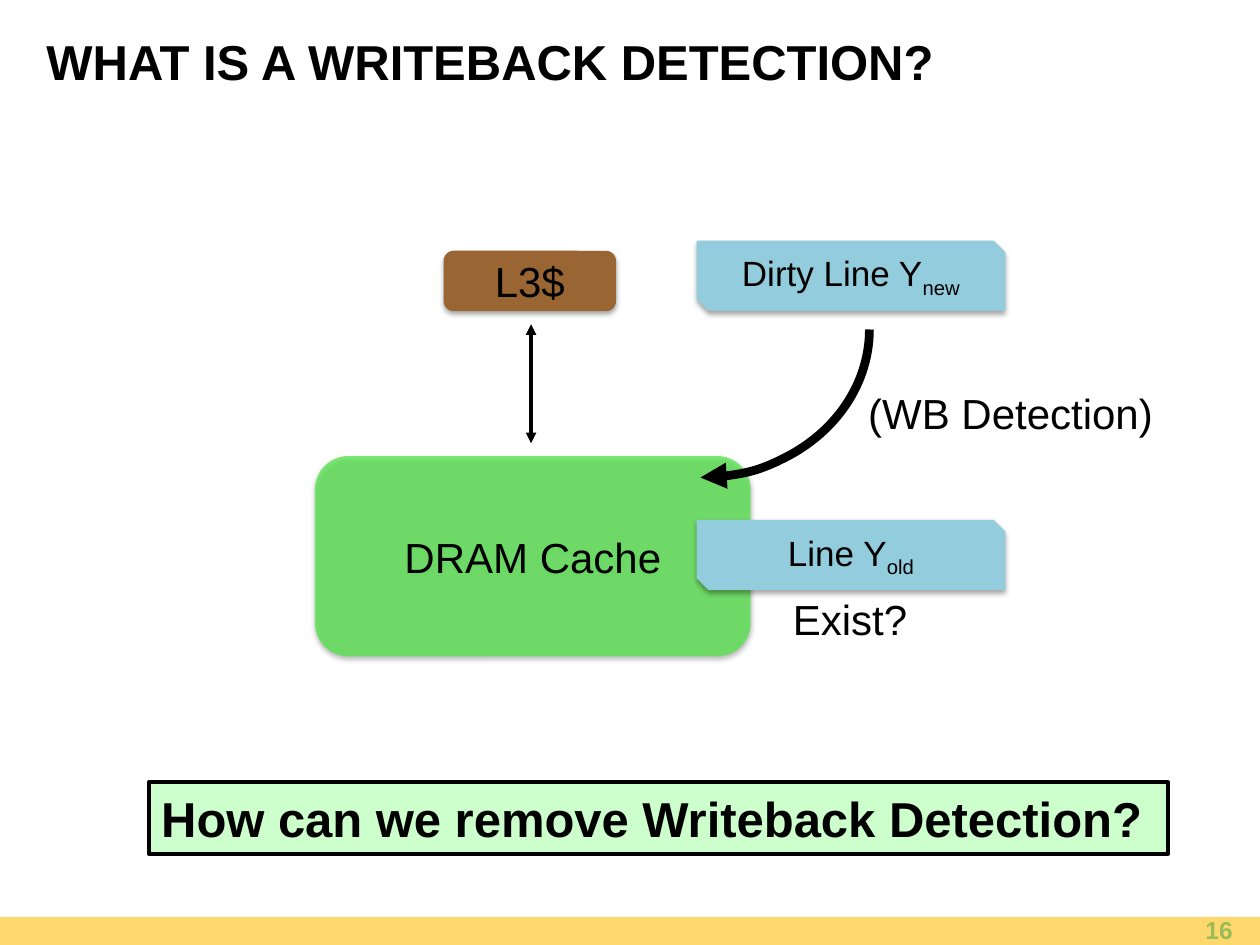
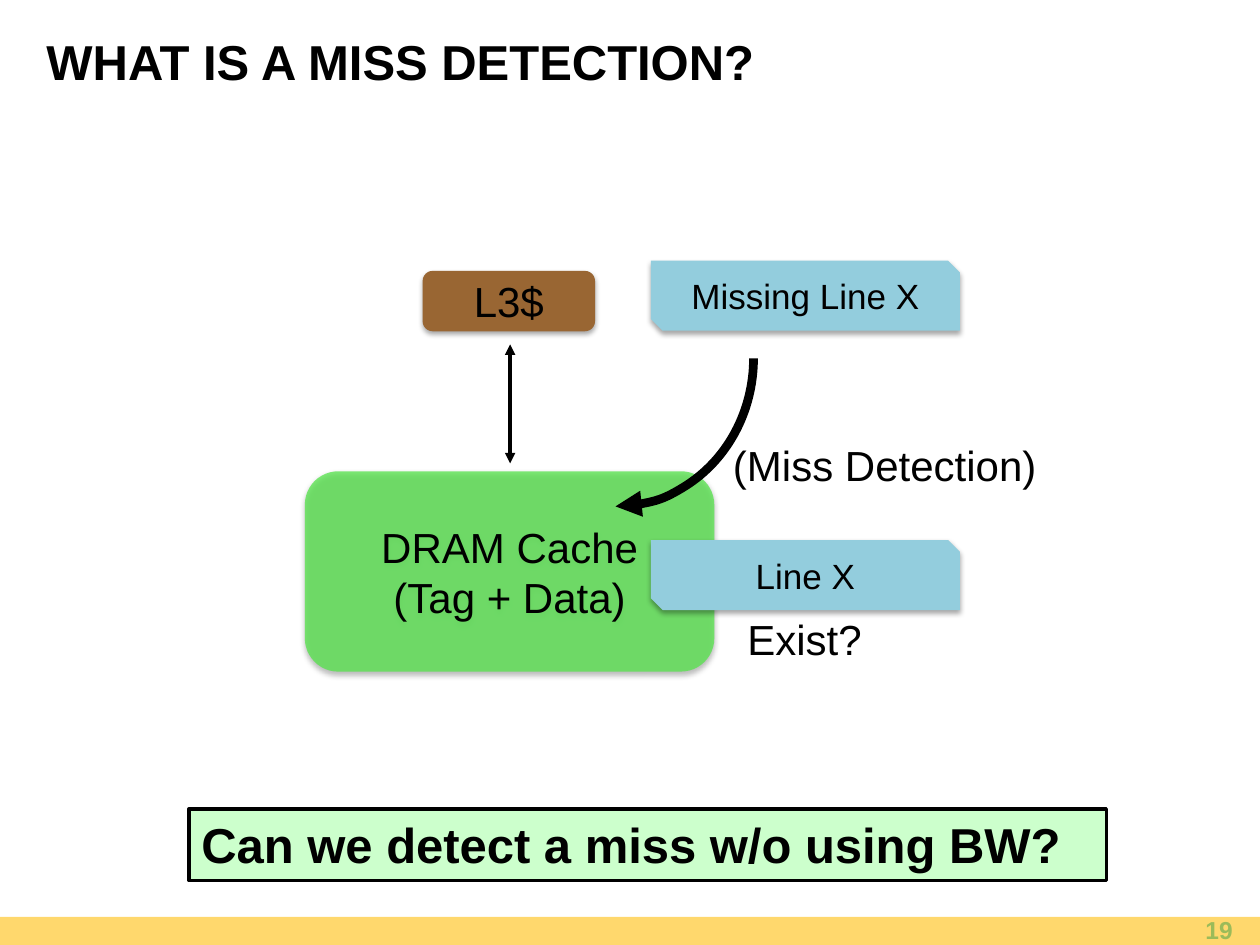
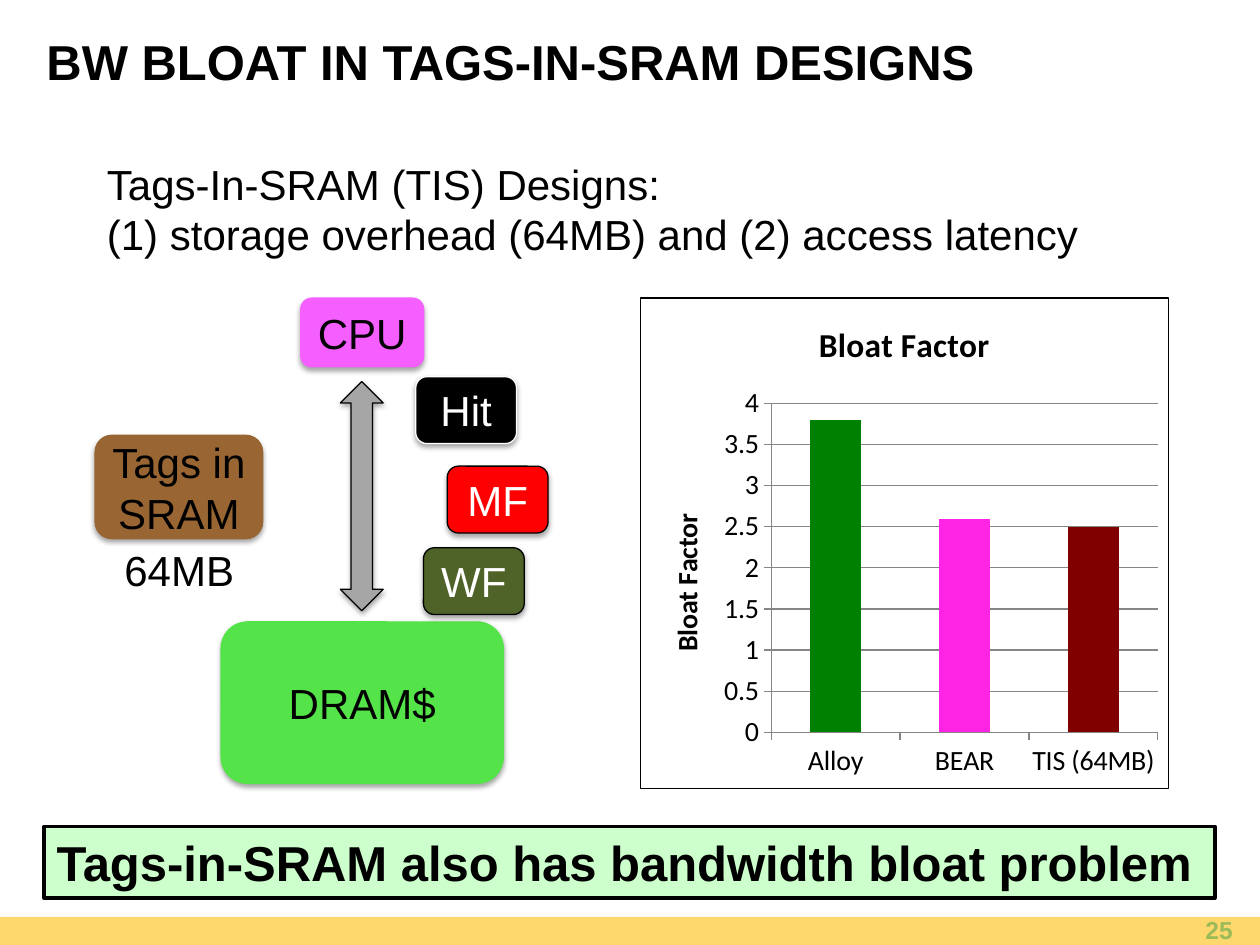
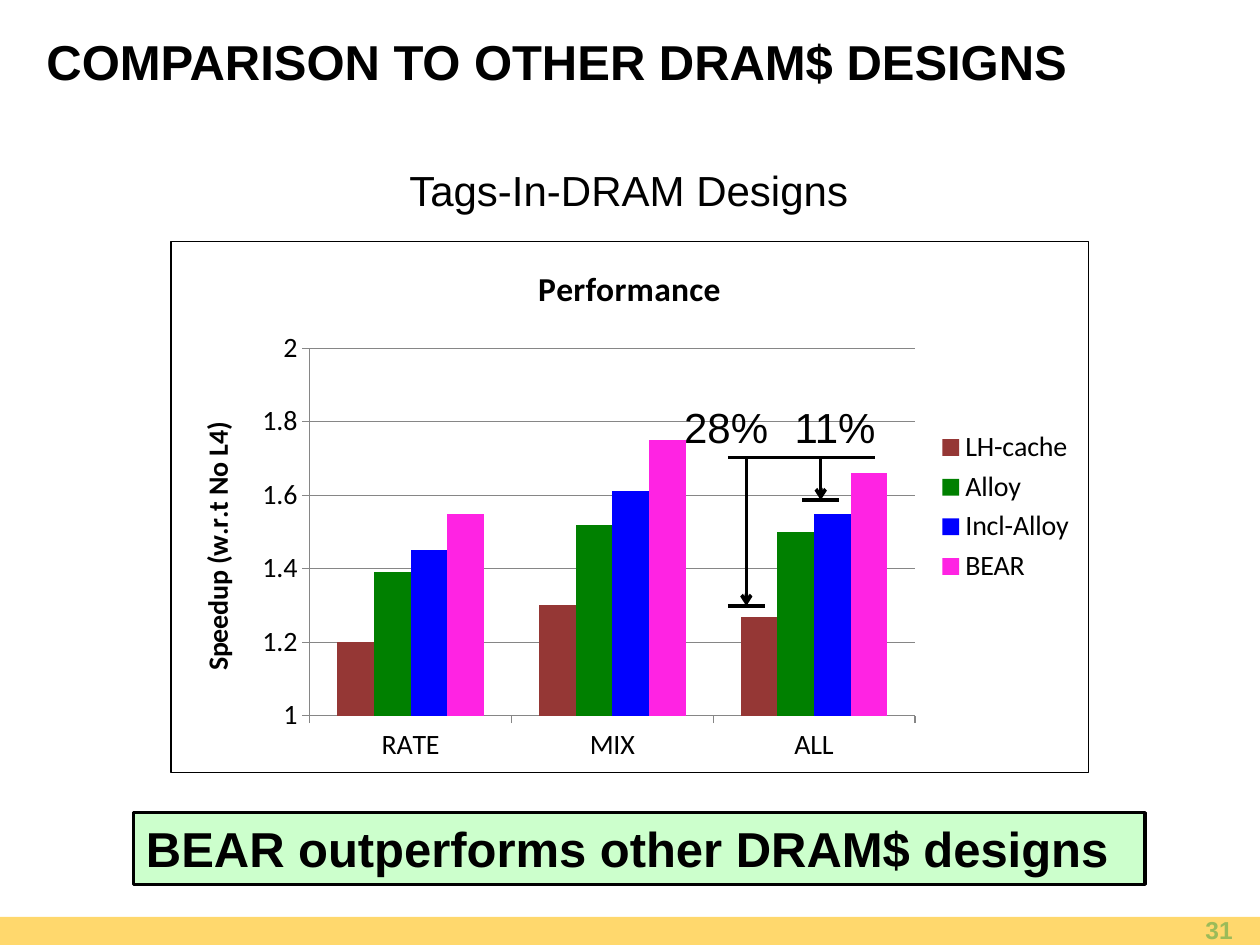
from lxml import etree
from pptx import Presentation
from pptx.chart.data import CategoryChartData
from pptx.dml.color import RGBColor
from pptx.enum.chart import XL_CHART_TYPE, XL_LEGEND_POSITION, XL_TICK_MARK
from pptx.enum.shapes import MSO_CONNECTOR, MSO_SHAPE
from pptx.enum.text import MSO_ANCHOR, MSO_AUTO_SIZE, PP_ALIGN
from pptx.oxml import parse_xml
from pptx.oxml.ns import nsdecls, qn
from pptx.util import Pt

RECTANGLE, ROUNDED = MSO_SHAPE.RECTANGLE, MSO_SHAPE.ROUNDED_RECTANGLE
SNIPPED, ARC = MSO_SHAPE.SNIP_2_DIAG_RECTANGLE, MSO_SHAPE.ARC
DOUBLE_ARROW = MSO_SHAPE.UP_DOWN_ARROW
STRAIGHT = MSO_CONNECTOR.STRAIGHT
LEFT, CENTER, RIGHT = PP_ALIGN.LEFT, PP_ALIGN.CENTER, PP_ALIGN.RIGHT
TOP, MIDDLE = MSO_ANCHOR.TOP, MSO_ANCHOR.MIDDLE
GROW = MSO_AUTO_SIZE.SHAPE_TO_FIT_TEXT
COLUMNS = XL_CHART_TYPE.COLUMN_CLUSTERED
LEGEND_RIGHT = XL_LEGEND_POSITION.RIGHT
OUTSIDE = XL_TICK_MARK.OUTSIDE

BLACK = RGBColor(0x00, 0x00, 0x00)
WHITE = RGBColor(0xFF, 0xFF, 0xFF)
BAND_YELLOW = RGBColor(0xFF, 0xD8, 0x6D)
NUMBER_GREEN = RGBColor(0x9B, 0xBB, 0x59)
PALE_GREEN = RGBColor(0xCC, 0xFF, 0xCC)
CACHE_GREEN = RGBColor(0x54, 0xE4, 0x4A)
BROWN = RGBColor(0x99, 0x66, 0x33)
LINE_BLUE = RGBColor(0x93, 0xCD, 0xDD)
CPU_PINK = RGBColor(0xF5, 0x5F, 0xFF)
RED = RGBColor(0xFF, 0x00, 0x00)
OLIVE = RGBColor(0x4F, 0x62, 0x28)
ARROW_GRAY = RGBColor(0xA6, 0xA6, 0xA6)
GRID_GRAY = RGBColor(0x86, 0x86, 0x86)
BAR_BROWN = RGBColor(0x95, 0x37, 0x35)
BAR_GREEN = RGBColor(0x00, 0x80, 0x00)
BAR_BLUE = RGBColor(0x00, 0x00, 0xFF)
BAR_PINK = RGBColor(0xFF, 0x23, 0xE3)
BAR_MAROON = RGBColor(0x80, 0x00, 0x00)

WIDTH, HEIGHT = 720, 540
TAKEAWAY_HEIGHT = 41
TILE_SIZE = (176.5, 40)
L3_SIZE = (98.5, 34.5)
CHIP_SIZE = (57.6, 38.2)

# Each takeaway is (text, left, top, width).
DETECTIONS = [
    {"number": 16, "title": "WHAT IS A WRITEBACK DETECTION?",
     "takeaway": ("How can we remove Writeback Detection?", 85, 447, 582.5),
     "cache": (["DRAM Cache"], 180, 260.6, 249, 114.5),
     "l3": (253.5, 143.3), "tile_left": 398,
     "request": "Dirty Line Y_new", "stored": "Line Y_old",
     "label": ("(WB Detection)", 489, 218, 178.5),
     "arc": (303.8, 103.7, 193, 169.2)},
    {"number": 19, "title": "WHAT IS A MISS DETECTION?",
     "takeaway": ("Can we detect a miss w/o using BW?", 108, 462.2, 524.2),
     "cache": (["DRAM Cache", "(Tag + Data)"], 174.2, 269.3, 234, 114.5),
     "l3": (241.5, 154.8), "tile_left": 372,
     "request": "Missing Line X", "stored": "Line X",
     "label": ("(Miss Detection)", 411.8, 247.7, 196.6),
     "arc": (272.9, 120.2, 157.7, 169.2)},
]

TIS_TITLE = "BW BLOAT IN TAGS-IN-SRAM DESIGNS"
TIS_TAKEAWAY = ("Tags-in-SRAM also has bandwidth bloat problem", 25.2, 472.3, 669)
TIS_INTRO = ["Tags-In-SRAM (TIS) Designs:",
             "(1) storage overhead (64MB) and (2) access latency"]
TIS_BLOCKS = [
    ("DRAM$", CACHE_GREEN, (126, 355, 162, 93)),
    ("CPU", CPU_PINK, (171.5, 170, 71, 40)),
    ("Tags in SRAM", BROWN, (54, 248.4, 96.5, 59.8)),
]
TRAFFIC_CHIPS = [
    ("Hit", BLACK, WHITE, 237.6, 215.3),
    ("MF", RED, BLACK, 255.6, 266.4),
    ("WF", OLIVE, BLACK, 242, 313),
]
BLOAT_CHART = {
    "title": "Bloat Factor", "axis_title": "Bloat Factor",
    "categories": ["Alloy", "BEAR", "TIS (64MB)"],
    "series": [("Series 1", [3.8, 2.6, 2.5], BAR_GREEN)],
    "point_colors": [BAR_GREEN, BAR_PINK, BAR_MAROON],
}

COMPARISON_TITLE = "COMPARISON TO OTHER DRAM$ DESIGNS"
COMPARISON_TAKEAWAY = ("BEAR outperforms other DRAM$ designs", 76.3, 464.4, 578)
SPEEDUP_CHART = {
    "title": "Performance", "axis_title": "Speedup (w.r.t No L4)",
    "categories": ["RATE", "MIX", "ALL"],
    "series": [
        ("LH-cache", [1.2, 1.3, 1.27], BAR_BROWN),
        ("Alloy", [1.39, 1.52, 1.5], BAR_GREEN),
        ("Incl-Alloy", [1.45, 1.61, 1.55], BAR_BLUE),
        ("BEAR", [1.55, 1.75, 1.66], BAR_PINK),
    ],
    "scale": {"minimum_scale": 1, "maximum_scale": 2, "major_unit": 0.2},
    "legend": True,
}
BRACKET_TOP, BRACKET_LEFT, BRACKET_RIGHT = 261.4, 416, 500
# (text, text left, text width, arrow x, arrow bottom)
GAINS = [("28%", 383.8, 63, 426.5, 346.3), ("11%", 447, 61, 469, 285.8)]


def set_values(target, values):
    for name, value in values.items():
        setattr(target, name, value)


def write(shape, lines, align=LEFT, anchor=TOP, wrap=True, size=24,
          color=BLACK, bold=False):
    """Fill a shape with lines; what follows an underscore is a subscript."""
    frame = shape.text_frame
    set_values(frame, {"word_wrap": wrap, "vertical_anchor": anchor})
    for index, line in enumerate(lines):
        para = frame.paragraphs[0] if index == 0 else frame.add_paragraph()
        para.alignment = align
        base, _, subscript = line.partition("_")
        for text in filter(None, (base, subscript)):
            span = para.add_run()
            span.text = text
            set_values(span.font, {"name": "Arial", "size": Pt(size), "bold": bold})
            span.font.color.rgb = color
        if subscript:
            span.font._element.set("baseline", "-25000")


def add_text(shapes, lines, place, **style):
    box = shapes.add_textbox(*map(Pt, place))
    write(box, lines, **style)
    return box


def add_label(shapes, lines, place):
    add_text(shapes, lines, place, wrap=False).text_frame.auto_size = GROW


def add_block(shapes, kind, place, fill=None, line=None, line_width=0.75,
              shadow=True, alpha=None):
    block = shapes.add_shape(kind, *map(Pt, place))
    block.shadow.inherit = False
    properties = block.element.spPr
    if fill is None:
        block.fill.background()
    else:
        block.fill.solid()
        block.fill.fore_color.rgb = fill
    if alpha:
        color = properties.find(qn("a:solidFill")).find(qn("a:srgbClr"))
        etree.SubElement(color, qn("a:alpha"), val=str(alpha * 1000))
    if line is None:
        block.line.fill.background()
    else:
        block.line.color.rgb = line
        block.line.width = Pt(line_width)
    if shadow:
        properties.find(qn("a:effectLst")).append(parse_xml(
            f'<a:outerShdw {nsdecls("a")} blurRad="{Pt(3.1)}" dist="{Pt(1.8)}" '
            'dir="5400000" rotWithShape="0"><a:srgbClr val="000000">'
            '<a:alpha val="35000"/></a:srgbClr></a:outerShdw>'))
    return block


def add_named_block(shapes, kind, lines, place, fill, size=24, color=BLACK, **look):
    block = add_block(shapes, kind, place, fill, **look)
    write(block, lines, CENTER, MIDDLE, size=size, color=color)


def add_ends(shape, **ends):
    """Add arrowheads, given as headEnd or tailEnd with a type."""
    outline = shape.element.spPr.find(qn("a:ln"))
    for tag in ("headEnd", "tailEnd"):
        if tag in ends:
            etree.SubElement(outline, qn(f"a:{tag}"), type=ends[tag])


def add_line(shapes, start, end, **ends):
    line = shapes.add_connector(STRAIGHT, *map(Pt, (*start, *end)))
    line.line.color.rgb = BLACK
    line.line.width = Pt(2)
    add_ends(line, **ends)
    etree.SubElement(line.element.spPr, qn("a:effectLst"))


def add_page(deck, number, title):
    page = deck.slides.add_slide(deck.slide_layouts[6])
    add_block(page.shapes, RECTANGLE, (0, 524, WIDTH, 16), BAND_YELLOW, shadow=False)
    add_text(page.shapes, [title], (19.5, 16, 692, 38), anchor=MIDDLE, size=28, bold=True)
    add_text(page.shapes, [str(number)], (543.5, 522, 168, 18.7), align=RIGHT,
             anchor=MIDDLE, size=14, color=NUMBER_GREEN, bold=True)
    return page.shapes


def add_takeaway(shapes, text, left, top, width):
    box = add_block(shapes, RECTANGLE, (left, top, width, TAKEAWAY_HEIGHT),
                    PALE_GREEN, BLACK, 2, shadow=False)
    write(box, [text], size=28, bold=True)


def add_column_chart(shapes, place, content):
    data = CategoryChartData()
    data.categories = content["categories"]
    for name, values, _ in content["series"]:
        data.add_series(name, values)
    chart = shapes.add_chart(COLUMNS, *map(Pt, place), data).chart
    set_values(chart.font, {"name": "Calibri", "size": Pt(16)})
    chart.font.color.rgb = BLACK
    chart.element.find(qn("c:chart")).addnext(parse_xml(
        f'<c:spPr {nsdecls("c", "a")}><a:noFill/><a:ln w="{Pt(0.75)}"><a:solidFill>'
        f'<a:srgbClr val="{BLACK}"/></a:solidFill></a:ln></c:spPr>'))

    value_axis, category_axis = chart.value_axis, chart.category_axis
    titles = [(chart, content["title"], 19.2), (value_axis, content["axis_title"], 16)]
    for owner, text, size in titles:
        title = owner.chart_title if owner is chart else owner.axis_title
        title.text_frame.text = text
        font = title.text_frame.paragraphs[0].runs[0].font
        set_values(font, {"name": "Calibri", "size": Pt(size), "bold": True})
        font.color.rgb = BLACK
    for axis in (value_axis, category_axis):
        axis.major_tick_mark = OUTSIDE
        axis.format.line.color.rgb = GRID_GRAY
    value_axis.has_major_gridlines = True
    value_axis.major_gridlines.format.line.color.rgb = GRID_GRAY
    set_values(value_axis, content.get("scale", {}))

    chart.has_legend = content.get("legend", False)
    if chart.has_legend:
        set_values(chart.legend, {"position": LEGEND_RIGHT, "include_in_layout": False})
    plot = chart.plots[0]
    set_values(plot, {"gap_width": 150, "vary_by_categories": False})
    fills = [(series, color) for series, (_, _, color) in zip(plot.series, content["series"])]
    fills += [(plot.series[0].points[index], color)
              for index, color in enumerate(content.get("point_colors", []))]
    for bar, color in fills:
        bar.format.fill.solid()
        bar.format.fill.fore_color.rgb = color


def build_detection(deck, content):
    shapes = add_page(deck, content["number"], content["title"])
    l3_left, l3_top = content["l3"]
    tile_left, request_top = content["tile_left"], l3_top - 5.8
    stored_top = request_top + 159.6
    lines, *cache_place = content["cache"]
    add_named_block(shapes, ROUNDED, lines, cache_place, CACHE_GREEN, alpha=75)
    add_named_block(shapes, SNIPPED, [content["stored"]],
                    (tile_left, stored_top, *TILE_SIZE), LINE_BLUE, size=20)
    add_named_block(shapes, ROUNDED, ["L3$"], (l3_left, l3_top, *L3_SIZE), BROWN)
    arrow_x = l3_left + 50
    add_line(shapes, (arrow_x, l3_top + 42), (arrow_x, l3_top + 110),
             headEnd="triangle", tailEnd="triangle")
    add_takeaway(shapes, *content["takeaway"])

    detection = shapes.add_group_shape().shapes
    text, *label_place = content["label"]
    add_label(detection, [text], (*label_place, 36))
    arc = add_block(detection, ARC, content["arc"], line=BLACK, line_width=5, shadow=False)
    arc.element.spPr.find(qn("a:xfrm")).set("flipV", "1")
    add_ends(arc, headEnd="triangle")

    add_named_block(shapes, SNIPPED, [content["request"]],
                    (tile_left, request_top, *TILE_SIZE), LINE_BLUE, size=20)
    add_label(shapes, ["Exist?"], (tile_left + 48, stored_top + 38.3, 80.6, 36))


def build_tags_in_sram(deck):
    shapes = add_page(deck, 25, TIS_TITLE)
    add_label(shapes, TIS_INTRO, (54, 87, 575, 65.5))
    for name, fill, place in TIS_BLOCKS:
        add_named_block(shapes, ROUNDED, [name], place, fill)
    add_block(shapes, DOUBLE_ARROW, (194.5, 218, 24.5, 131), ARROW_GRAY, BLACK)
    chips = shapes.add_group_shape().shapes
    for name, fill, line, left, top in TRAFFIC_CHIPS:
        add_named_block(chips, ROUNDED, [name], (left, top, *CHIP_SIZE), fill,
                        color=WHITE, line=line)
    add_column_chart(shapes, (365.6, 170, 302.4, 281), BLOAT_CHART)
    add_takeaway(shapes, *TIS_TAKEAWAY)
    add_label(shapes, ["64MB"], (64, 307.5, 77.8, 36))


def build_comparison(deck):
    shapes = add_page(deck, 31, COMPARISON_TITLE)
    add_label(shapes, ["Tags-In-DRAM Designs"], (226.8, 90.7, 268, 36))
    add_column_chart(shapes, (97.3, 137.5, 525, 304.5), SPEEDUP_CHART)
    add_takeaway(shapes, *COMPARISON_TAKEAWAY)
    gains = shapes.add_group_shape().shapes
    add_line(gains, (BRACKET_LEFT, BRACKET_TOP), (BRACKET_RIGHT, BRACKET_TOP))
    for text, left, width, x, bottom in GAINS:
        add_line(gains, (x, BRACKET_TOP), (x, bottom), tailEnd="arrow")
        add_line(gains, (x - 10.5, bottom), (x + 10.5, bottom))
        add_label(gains, [text], (left, 226, width, 36))


def main():
    deck = Presentation()
    deck.slide_width, deck.slide_height = Pt(WIDTH), Pt(HEIGHT)
    for content in DETECTIONS:
        build_detection(deck, content)
    build_tags_in_sram(deck)
    build_comparison(deck)
    deck.save("out.pptx")


if __name__ == "__main__":
    main()
